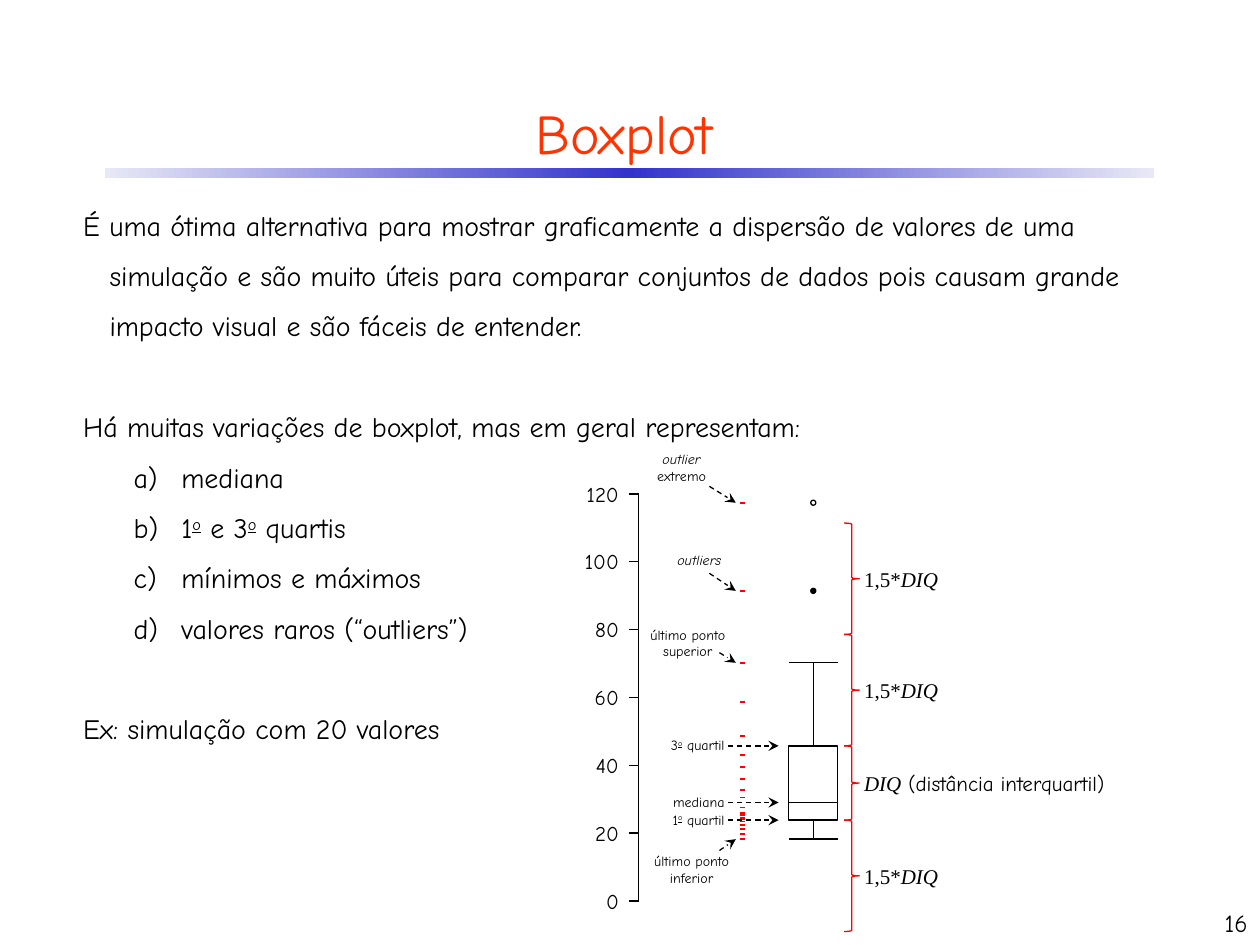
from copy import deepcopy

from lxml.etree import SubElement
from pptx import Presentation
from pptx.dml.color import RGBColor
from pptx.enum.dml import MSO_LINE
from pptx.enum.shapes import MSO_CONNECTOR, MSO_SHAPE
from pptx.enum.text import MSO_ANCHOR, MSO_AUTO_SIZE, PP_ALIGN
from pptx.oxml.ns import qn
from pptx.util import Inches, Pt

SANS, SERIF = "Comic Neue", "Times New Roman"
BLACK, RED, WHITE = "000000", "FF0000", "FFFFFF"
LEFT, CENTER, RIGHT = PP_ALIGN.LEFT, PP_ALIGN.CENTER, PP_ALIGN.RIGHT

TITLE = "Boxplot"
PAGE = "16"
ORDINAL = ("o", {"ordinal": True})
INTRO = "É uma ótima alternativa para mostrar graficamente a dispersão de valores de uma simulação e são muito úteis para comparar conjuntos de dados pois causam grande impacto visual e são fáceis de entender."
VARIATIONS = "Há muitas variações de boxplot, mas em geral representam:"
EXAMPLE = "Ex: simulação com 20 valores"
FEATURES = [
    ["mediana"],
    ["1", ORDINAL, " e 3", ORDINAL, " quartis"],
    ["mínimos e máximos"],
    ["valores raros (“outliers”)"],
]
BODY = [([INTRO], 0.21, -0.21, False, 0),
        ([VARIATIONS], 0.21, -0.21, False, 28.8)]
BODY += [(feature, 0.78, -0.38, True, 0) for feature in FEATURES]
BODY += [([EXAMPLE], 0.38, -0.38, False, 28.8)]

VALUES = [18.2, 19.7, 21.2, 22.3, 23.4, 24.1, 24.5, 25.3, 26, 27.5,
          30.5, 32.7, 36, 39.4, 43.1, 48.7, 58.7, 70.2, 91.4, 117.4]
Q1, MEDIAN, Q3 = 23.8, 29, 45.7
LOW, HIGH, OUTLIER, EXTREME = 18.2, 70.2, 91.4, 117.4
FENCE = 1.5 * (Q3 - Q1)
ITALIC_DIQ = ("DIQ", {"italic": True, "font": SERIF})
FENCE_LABEL = [("1,5*", {"font": SERIF}), ITALIC_DIQ]
SPANS = [
    (Q3 + 2 * FENCE, Q3 + FENCE, FENCE_LABEL),
    (Q3 + FENCE, Q3, FENCE_LABEL),
    (Q3, Q1, [ITALIC_DIQ, " (distância interquartil)"]),
    (Q1, Q1 - FENCE, FENCE_LABEL),
]
LEVELS = [(Q1, ["1", ORDINAL, " quartil"]), (MEDIAN, ["mediana"]),
          (Q3, ["3", ORDINAL, " quartil"])]
CALLOUTS = [
    ([[("outlier", {"italic": True})], ["extremo"]], 5.41, 3.53, (5.63, 3.86), EXTREME),
    ([[("outliers", {"italic": True})]], 5.55, 4.33, (5.63, 4.55), OUTLIER),
    ([["último ponto"], ["superior"]], 5.46, 4.92, (5.71, 5.18), HIGH),
    ([["último ponto"], ["inferior"]], 5.49, 6.72, (5.71, 6.75), LOW),
]
AXIS_X, AXIS_TOP, AXIS_BOTTOM, AXIS_MAX = 5.07, 3.92, 7.15, 120
BOX_LEFT, BOX_RIGHT = 6.26, 6.65
BOX_MIDDLE = (BOX_LEFT + BOX_RIGHT) / 2
DOT = 0.04

presentation = Presentation()
presentation.slide_width, presentation.slide_height = Inches(10), Inches(7.5)
slide = presentation.slides.add_slide(presentation.slide_layouts[1])


def rgb(code):
    return RGBColor.from_string(code)


def y_of(value):
    return AXIS_BOTTOM - value * (AXIS_BOTTOM - AXIS_TOP) / AXIS_MAX


def write(paragraph, runs, size=12, color=BLACK, align=LEFT):
    paragraph.alignment = align
    for item in runs:
        text, style = (item, {}) if isinstance(item, str) else item
        run = paragraph.add_run()
        run.text = text
        run.font.size = Pt(size)
        run.font.name = style.get("font", SANS)
        run.font.color.rgb = rgb(color)
        run.font.italic = style.get("italic", False)
        if style.get("ordinal"):
            run.font.underline = True
            run.font._element.set("baseline", "30000")


def label(lines, left, top, width, height=0.3, anchor=MSO_ANCHOR.TOP, **style):
    frame = slide.shapes.add_textbox(Inches(left), Inches(top), Inches(width), Inches(height)).text_frame
    frame.word_wrap = True
    frame.vertical_anchor = anchor
    for number, runs in enumerate(lines):
        write(frame.add_paragraph() if number else frame.paragraphs[0], runs, **style)


def line(x1, y1, x2, y2, color=BLACK, width=0.75, arrow=False):
    connector = slide.shapes.add_connector(
        MSO_CONNECTOR.STRAIGHT, Inches(x1), Inches(y1), Inches(x2), Inches(y2))
    connector.line.color.rgb = rgb(color)
    connector.line.width = Pt(width)
    if arrow:
        connector.line.dash_style = MSO_LINE.DASH
        SubElement(connector.line._get_or_add_ln(), qn("a:tailEnd"), type="stealth")
    SubElement(connector._element.spPr, qn("a:effectLst"))


def outline(kind, left, top, width, height, color=BLACK, fill=None):
    shape = slide.shapes.add_shape(kind, Inches(left), Inches(top), Inches(width), Inches(height))
    shape.shadow.inherit = False
    shape.line.color.rgb = rgb(color)
    shape.line.width = Pt(0.75)
    if fill:
        shape.fill.solid()
        shape.fill.fore_color.rgb = rgb(fill)
    else:
        shape.fill.background()
    return shape


def place(placeholder, left, top, width, height, anchor):
    placeholder.left, placeholder.top = Inches(left), Inches(top)
    placeholder.width, placeholder.height = Inches(width), Inches(height)
    frame = placeholder.text_frame
    frame.auto_size = MSO_AUTO_SIZE.NONE
    frame.vertical_anchor = anchor
    return frame


rule = outline(MSO_SHAPE.RECTANGLE, 0.83, 1.33, 8.33, 0.08)
rule.line.fill.background()
rule.fill.gradient()
rule.fill.gradient_angle = 0
for stop, position in zip(rule.fill.gradient_stops, (0, 0.5)):
    stop.color.rgb = rgb("3333CC" if position else "E8E8F6")
    stop.position = position
stops = rule._element.spPr.find(qn("a:gradFill")).find(qn("a:gsLst"))
stops.append(deepcopy(stops[0]))
stops[-1].set("pos", "100000")

heading = place(slide.shapes.title, 0.33, 0.67, 9.25, 0.75, MSO_ANCHOR.MIDDLE)
write(heading.paragraphs[0], [TITLE], size=32, color="FF3300", align=CENTER)

body = place(slide.placeholders[1], 0.56, 1.47, 8.69, 4.55, MSO_ANCHOR.TOP)
for number, (runs, margin, indent, lettered, gap) in enumerate(BODY):
    paragraph = body.add_paragraph() if number else body.paragraphs[0]
    paragraph.line_spacing = 1.5
    paragraph.space_before = Pt(gap)
    properties = paragraph._p.get_or_add_pPr()
    properties.set("marL", str(Inches(margin)))
    properties.set("indent", str(Inches(indent)))
    if lettered:
        SubElement(properties, qn("a:buFont"), typeface=SANS)
        SubElement(properties, qn("a:buAutoNum"), type="alphaLcParenR")
    else:
        SubElement(properties, qn("a:buNone"))
    write(paragraph, runs, size=16)

label([[PAGE]], 7.92, 7.14, 2.08, 0.35, anchor=MSO_ANCHOR.BOTTOM, size=14, align=RIGHT)

line(AXIS_X, AXIS_TOP, AXIS_X, AXIS_BOTTOM)
for tick in range(0, AXIS_MAX + 1, 20):
    line(AXIS_X - 0.08, y_of(tick), AXIS_X, y_of(tick))
    label([[str(tick)]], 4.41, y_of(tick) - 0.15, 0.6, align=RIGHT)

for value in VALUES:
    line(5.87, y_of(value), 5.91, y_of(value), color=RED, width=1)

outline(MSO_SHAPE.RECTANGLE, BOX_LEFT, y_of(Q3), BOX_RIGHT - BOX_LEFT, y_of(Q1) - y_of(Q3))
for level in (LOW, MEDIAN, HIGH):
    line(BOX_LEFT, y_of(level), BOX_RIGHT, y_of(level))
for whisker, quartile in ((HIGH, Q3), (Q1, LOW)):
    line(BOX_MIDDLE, y_of(whisker), BOX_MIDDLE, y_of(quartile))
for value, fill in ((OUTLIER, BLACK), (EXTREME, WHITE)):
    outline(MSO_SHAPE.OVAL, BOX_MIDDLE - DOT / 2, y_of(value) - DOT / 2, DOT, DOT, fill=fill)

for level, runs in LEVELS:
    line(5.78, y_of(level), 6.18, y_of(level), arrow=True)
    label([runs], 4.85, y_of(level) - 0.12, 1, 0.24, size=8, align=RIGHT)

for lines, center, top, start, value in CALLOUTS:
    label(lines, center - 0.5, top, 1, 0.13 * len(lines) + 0.11, size=8, align=CENTER)
    line(*start, 5.84, y_of(value), arrow=True)

for upper, lower, runs in SPANS:
    top, bottom = y_of(upper), y_of(lower)
    brace = outline(MSO_SHAPE.RIGHT_BRACE, 6.7, top, 0.12, bottom - top, color=RED)
    brace.adjustments[0] = 0.08
    label([runs], 6.76, (top + bottom) / 2 - 0.15, 2.5)

presentation.save("out.pptx")
